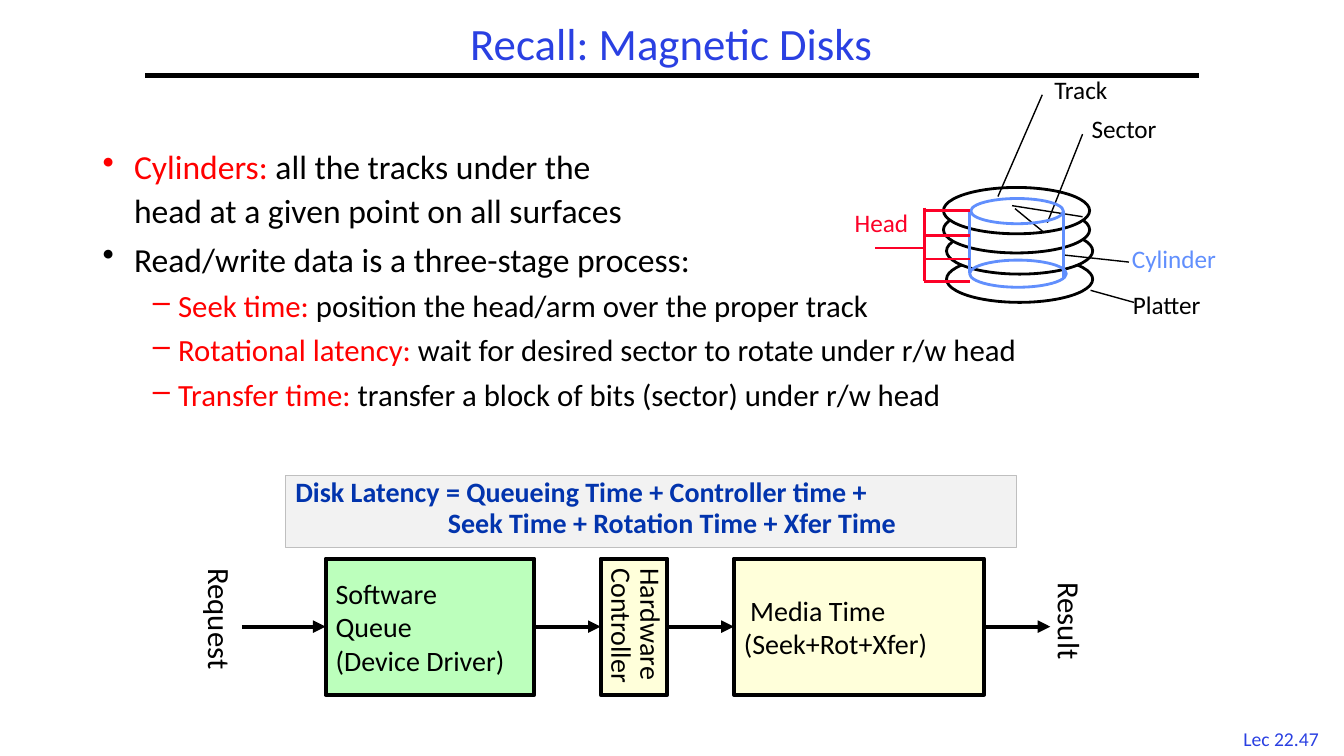
from typing import NamedTuple, Optional

from lxml import etree
from pptx import Presentation
from pptx.dml.color import RGBColor
from pptx.enum.shapes import MSO_CONNECTOR, MSO_SHAPE
from pptx.enum.text import MSO_ANCHOR, PP_ALIGN
from pptx.oxml.ns import qn
from pptx.util import Pt

STRAIGHT = MSO_CONNECTOR.STRAIGHT
RECTANGLE, ELLIPSE = MSO_SHAPE.RECTANGLE, MSO_SHAPE.OVAL
LEFT, CENTER = PP_ALIGN.LEFT, PP_ALIGN.CENTER
TOP, MIDDLE = MSO_ANCHOR.TOP, MSO_ANCHOR.MIDDLE
LEFT_SIDE, RIGHT_SIDE = 1, 3
FONT = "Calibri"

BLACK = RGBColor(0x00, 0x00, 0x00)
WHITE = RGBColor(0xFF, 0xFF, 0xFF)
TITLE_BLUE = RGBColor(0x2A, 0x40, 0xE2)
TERM_RED = RGBColor(0xFF, 0x00, 0x00)
HEAD_RED = RGBColor(0xFC, 0x01, 0x28)
CYLINDER_BLUE = RGBColor(0x61, 0x8F, 0xFD)
FORMULA_BLUE = RGBColor(0x02, 0x34, 0xAD)
FORMULA_GRAY = RGBColor(0xF2, 0xF2, 0xF2)
BORDER_GRAY = RGBColor(0xBF, 0xBF, 0xBF)
QUEUE_GREEN = RGBColor(0xBC, 0xFF, 0xBC)
STAGE_YELLOW = RGBColor(0xFF, 0xFF, 0xDA)


class Box(NamedTuple):
    x: float
    y: float
    w: float
    h: float


class Line(NamedTuple):
    x1: float
    y1: float
    x2: float
    y2: float
    color: RGBColor = BLACK
    width: float = 2


class Label(NamedTuple):
    text: str
    box: Box
    color: RGBColor = BLACK
    size: float = 18
    spacing: float = 0.85
    insets: tuple[float, float] = (5, 2.2)
    align: PP_ALIGN = LEFT
    rotation: float = 0


class Bullet(NamedTuple):
    term: str
    lines: list[str]
    level: int = 0


class Stage(NamedTuple):
    lines: list[str]
    x: float
    w: float
    fill: RGBColor
    vertical: bool = False
    spacing: float = 1
    gap: float = 0
    first_indent: float = 0


def add_run(paragraph, text: str, size: float, color: RGBColor, bold: bool = False) -> None:
    run = paragraph.add_run()
    run.text = text
    run.font.name = FONT
    run.font.size = Pt(size)
    run.font.bold = bold
    run.font.color.rgb = color


def add_paragraph(frame, index: int, spacing: float, gap: float = 0, indent: float = 0,
                  hanging: float = 0, bullet: str = "", align: PP_ALIGN = LEFT):
    paragraph = frame.add_paragraph() if index else frame.paragraphs[0]
    properties = paragraph._p.get_or_add_pPr()
    properties.set("marL", str(Pt(indent)))
    properties.set("indent", str(Pt(-hanging)))
    if bullet:
        etree.SubElement(properties, qn("a:buChar")).set("char", bullet)
    paragraph.alignment = align
    paragraph.line_spacing = spacing
    paragraph.space_before = Pt(gap if index else 0)
    return paragraph


def set_frame(frame, anchor: MSO_ANCHOR = TOP, wrap: bool = True,
              insets: tuple[float, float] = (7.2, 3.6)) -> None:
    frame.word_wrap = wrap
    frame.vertical_anchor = anchor
    frame.margin_left = frame.margin_right = Pt(insets[0])
    frame.margin_top = frame.margin_bottom = Pt(insets[1])


def add_outline(slide, preset: MSO_SHAPE, box: Box, fill: Optional[RGBColor],
                color: RGBColor, width: float):
    shape = slide.shapes.add_shape(preset, *map(Pt, box))
    shape.shadow.inherit = False
    if fill is None:
        shape.fill.background()
    else:
        shape.fill.solid()
        shape.fill.fore_color.rgb = fill
    shape.line.color.rgb = color
    shape.line.width = Pt(width)
    return shape


def add_line(slide, line: Line, arrow: bool = False):
    connector = slide.shapes.add_connector(
        STRAIGHT, Pt(line.x1), Pt(line.y1), Pt(line.x2), Pt(line.y2))
    connector.line.color.rgb = line.color
    connector.line.width = Pt(line.width)
    if arrow:
        etree.SubElement(connector.line._get_or_add_ln(), qn("a:tailEnd")).set("type", "triangle")
    etree.SubElement(connector._element.spPr, qn("a:effectLst"))
    return connector


def add_label(slide, label: Label) -> None:
    text_box = slide.shapes.add_textbox(*map(Pt, label.box))
    text_box.rotation = label.rotation
    set_frame(text_box.text_frame, wrap=False, insets=label.insets)
    paragraph = add_paragraph(text_box.text_frame, 0, label.spacing, align=label.align)
    add_run(paragraph, label.text, label.size, label.color)


def add_bullets(slide, box: Box, bullets: list[Bullet]) -> None:
    frame = slide.shapes.add_textbox(*map(Pt, box)).text_frame
    set_frame(frame)
    for index, bullet in enumerate(bullets):
        indent, hanging, mark, size = [(22.5, 22.5, "•", 24), (54, 18, "–", 22)][bullet.level]
        paragraph = add_paragraph(frame, index, 1.1, 2.8, indent, hanging, mark)
        if bullet.term:
            add_run(paragraph, bullet.term, size, TERM_RED)
        for number, text in enumerate(bullet.lines):
            if number:
                paragraph.add_line_break()
            add_run(paragraph, text, size, BLACK)


def add_stage(slide, stage: Stage):
    shape = add_outline(slide, RECTANGLE, Box(stage.x, 399, stage.w, 97.2), stage.fill, BLACK, 3)
    frame = shape.text_frame
    set_frame(frame, MIDDLE)
    if stage.vertical:
        frame._txBody.bodyPr.set("vert", "eaVert")
    for index, text in enumerate(stage.lines):
        indent = 0 if index else stage.first_indent
        paragraph = add_paragraph(frame, index, stage.spacing, stage.gap, indent)
        add_run(paragraph, text, 20, BLACK)
    return shape


def add_formula(slide, box: Box, lines: list[tuple[str, float]]) -> None:
    frame = add_outline(slide, RECTANGLE, box, FORMULA_GRAY, BORDER_GRAY, 0.75).text_frame
    set_frame(frame)
    for index, (text, indent) in enumerate(lines):
        paragraph = add_paragraph(frame, index, 0.8, 2.6, indent)
        add_run(paragraph, text, 20, FORMULA_BLUE, True)


def add_title(slide, text: str) -> None:
    title = slide.shapes.title
    title.left, title.top, title.width, title.height = map(Pt, (103.7, 12.2, 751.7, 41.8))
    set_frame(title.text_frame, MIDDLE)
    add_run(add_paragraph(title.text_frame, 0, 0.9, align=CENTER), text, 32, TITLE_BLUE)


def add_disk(slide) -> None:
    for x, y in [(676.1, 182.9), (676.1, 162.7), (673.9, 147.6), (673.9, 133.9)]:
        add_outline(slide, ELLIPSE, Box(x, y, 104.4, 33.1), WHITE, BLACK, 2)
    for ends in [(725, 149, 745.2, 165.6), (722.9, 146.9, 773.3, 154.8),
                 (748.1, 159.1, 773.3, 95.8), (712.8, 140.4, 744.5, 67.7),
                 (760.3, 182.2, 806.4, 187.2), (779, 207.4, 810, 216)]:
        add_line(slide, Line(*ends, width=1))
    for rim in [Box(692.6, 185.8, 69.1, 19.4), Box(693.4, 141.8, 66.2, 18)]:
        add_outline(slide, ELLIPSE, rim, None, CYLINDER_BLUE, 2)
    for x, bottom in [(692.6, 195.1), (759.6, 198.7)]:
        add_line(slide, Line(x, 150.5, x, bottom, CYLINDER_BLUE))
    add_line(slide, Line(660.2, 148.3, 660.2, 200.9, HEAD_RED))
    for y, end in [(150.5, 692.6), (168.5, 692.6), (185, 692.6), (200.9, 692.6), (177.1, 625)]:
        add_line(slide, Line(660.2, y, end, y, HEAD_RED))
    for label in [Label("Sector", Box(774.7, 82.1, 62.6, 22.3)),
                  Label("Track", Box(748.1, 54, 54.7, 22.3)),
                  Label("Cylinder", Box(803.5, 175, 77, 22.3), CYLINDER_BLUE),
                  Label("Head", Box(605.5, 149, 53.3, 22.3), HEAD_RED),
                  Label("Platter", Box(804.2, 207.4, 62.6, 22.3))]:
        add_label(slide, label)


def add_pipeline(slide) -> None:
    stages = [add_stage(slide, stage) for stage in [
        Stage(["Software", "Queue", "(Device Driver)"], 232.6, 149, QUEUE_GREEN),
        Stage(["Hardware", "Controller"], 429.1, 47.5, STAGE_YELLOW, True, 0.8, 1.6),
        Stage(["Media Time", "(Seek+Rot+Xfer)"], 524.2, 178.6, STAGE_YELLOW, first_indent=4.5)]]
    for source, target in zip([None, *stages], [*stages, None]):
        arrow = add_line(slide, Line(172.8, 447.6, 750.2, 447.6, width=3), True)
        if source is not None:
            arrow.begin_connect(source, RIGHT_SIDE)
        if target is not None:
            arrow.end_connect(target, LEFT_SIDE)
    for text, x, width in [("Request", 108.7, 97.2), ("Result", 725.8, 77)]:
        add_label(slide, Label(text, Box(x, 430.6, width, 33.8), size=22, spacing=1,
                               insets=(7.2, 3.6), rotation=90))


def main() -> None:
    deck = Presentation()
    deck.slide_width, deck.slide_height = Pt(960), Pt(540)
    slide = deck.slides.add_slide(deck.slide_layouts[5])
    add_title(slide, "Recall: Magnetic Disks")
    add_line(slide, Line(103.7, 54, 856.1, 54, width=3))
    add_label(slide, Label("Lec 22.47", Box(876.2, 515.5, 77.8, 23.8), TITLE_BLUE, 14, 1,
                           (7.2, 3.6), CENTER))
    add_bullets(slide, Box(66.2, 97.9, 828, 236.2), [
        Bullet("Cylinders: ", ["all the tracks under the ", "head at a given point on all surfaces"]),
        Bullet("", ["Read/write data is a three-stage process:"]),
        Bullet("Seek time: ", ["position the head/arm over the proper track"], 1),
        Bullet("Rotational latency: ", ["wait for desired sector to rotate under r/w head"], 1),
        Bullet("Transfer time: ", ["transfer a block of bits (sector) under r/w head"], 1)])
    add_disk(slide)
    add_pipeline(slide)
    add_formula(slide, Box(203.8, 340, 522, 51), [
        ("Disk Latency = Queueing Time + Controller time +", 0),
        ("Seek Time + Rotation Time + Xfer Time", 109)])
    deck.save("out.pptx")


if __name__ == "__main__":
    main()
